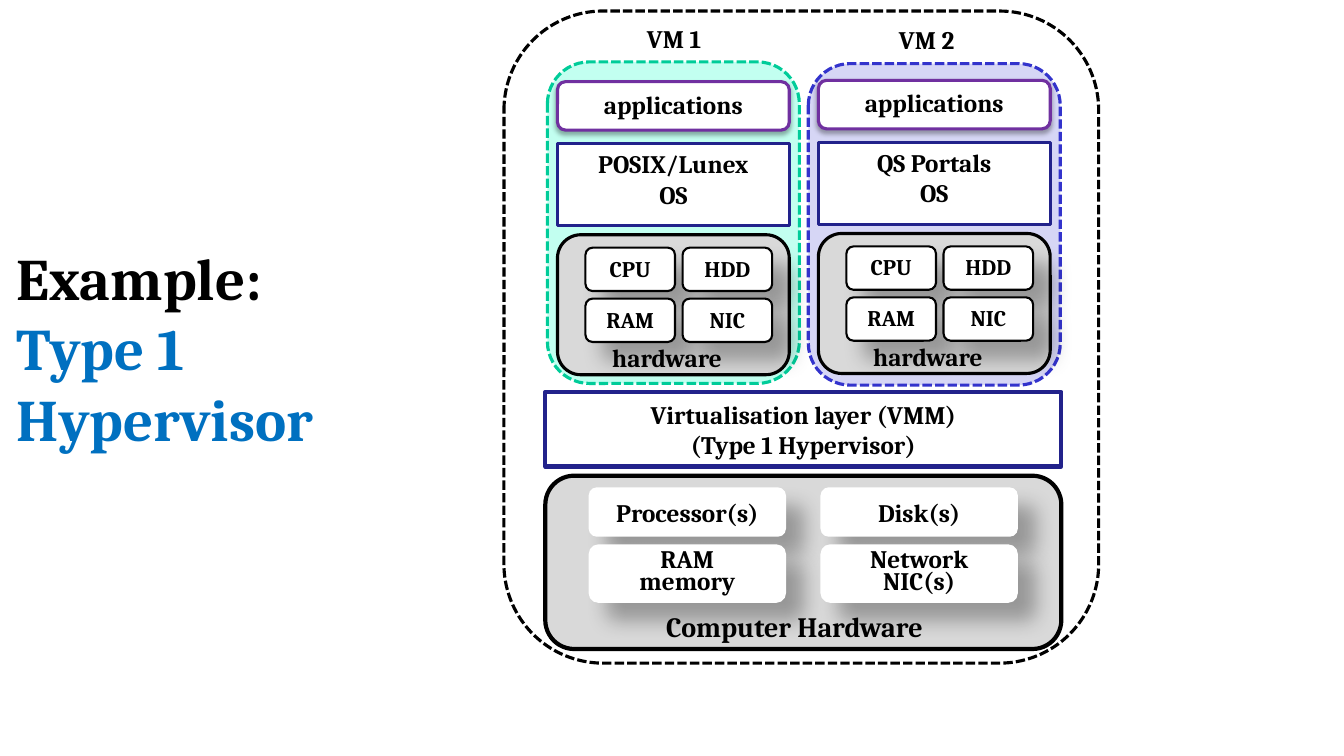
from itertools import product

from lxml import etree
from pptx import Presentation
from pptx.dml.color import RGBColor
from pptx.enum.dml import MSO_LINE
from pptx.enum.shapes import MSO_SHAPE
from pptx.enum.text import MSO_ANCHOR, PP_ALIGN
from pptx.oxml.ns import qn
from pptx.util import Pt

RECT = MSO_SHAPE.RECTANGLE
ROUND = MSO_SHAPE.ROUNDED_RECTANGLE
DASH = MSO_LINE.SQUARE_DOT
TOP, MIDDLE = MSO_ANCHOR.TOP, MSO_ANCHOR.MIDDLE
LEFT, CENTER = PP_ALIGN.LEFT, PP_ALIGN.CENTER

FONT = "Cambria"
BLACK, WHITE, GREY = "000000", "FFFFFF", "D9D9D9"
NAVY, PURPLE, BLUE = "22228B", "7030A0", "0070C0"
SOFT_SHADOW = (32, 3.5, 2.2, 90)
DEEP_SHADOW = (30, 15, 18, 45)


def colour(value):
    return RGBColor.from_string(value)


def add_span(para, text, size, ink=BLACK):
    span = para.add_run()
    span.text = text
    span.font.name = FONT
    span.font.size = Pt(size)
    span.font.bold = True
    span.font.color.rgb = colour(ink)


def write_lines(frame, lines, size, align, anchor, spacing=None):
    frame.word_wrap = True
    frame.vertical_anchor = anchor
    for index, line in enumerate(lines):
        para = frame.add_paragraph() if index else frame.paragraphs[0]
        para.alignment = align
        if spacing:
            para.line_spacing = Pt(spacing)
        add_span(para, line, size)


def add_shadow(shape, alpha, blur, distance, angle):
    effects = shape.element.spPr.find(qn("a:effectLst"))
    outer = etree.SubElement(
        effects, qn("a:outerShdw"), blurRad=str(Pt(blur)), dist=str(Pt(distance)),
        dir=str(angle * 60000), algn="tl", rotWithShape="0")
    tint = etree.SubElement(outer, qn("a:srgbClr"), val=BLACK)
    etree.SubElement(tint, qn("a:alpha"), val=str(alpha * 1000))


def add_block(page, box, kind=ROUND, fill=WHITE, line=None, weight=2.25, dash=None,
              shadow=None, lines=(), size=18, anchor=TOP, spacing=None):
    shape = page.shapes.add_shape(kind, *map(Pt, box))
    shape.shadow.inherit = False
    shape.fill.solid()
    shape.fill.fore_color.rgb = colour(fill)
    if line:
        shape.line.color.rgb = colour(line)
        shape.line.width = Pt(weight)
        if dash:
            shape.line.dash_style = dash
    else:
        shape.line.fill.background()
    if shadow:
        add_shadow(shape, *shadow)
    write_lines(shape.text_frame, lines, size, CENTER, anchor, spacing)


def add_label(page, box, text, size=18):
    label = page.shapes.add_textbox(*map(Pt, box))
    write_lines(label.text_frame, [text], size, LEFT, TOP)


def draw_title(page, box):
    frame = page.shapes.add_textbox(*map(Pt, box)).text_frame
    frame.word_wrap = True
    frame.vertical_anchor = MIDDLE
    para = frame.paragraphs[0]
    add_span(para, "Example:", 42)
    for line in ("Type 1", "Hypervisor"):
        para.add_line_break()
        add_span(para, line, 42, BLUE)


def draw_machine(page, box, name, name_left, system, fill, line, stack_top):
    left, top, width, height = box
    add_block(page, box, fill=fill, line=line, dash=DASH)
    add_label(page, (left + name_left, top - 31.3, 65, 29), name)

    stack_left, stack_width = left + 7.2, width - 14.4
    add_block(page, (stack_left, stack_top, stack_width, 34.6), line=PURPLE,
              shadow=SOFT_SHADOW, lines=["applications"])
    add_block(page, (stack_left, stack_top + 44.4, stack_width, 58.3), RECT,
              line=NAVY, lines=[system, "OS"])
    add_block(page, (stack_left, stack_top + 109.4, stack_width, 100),
              fill=GREY, line=BLACK)
    chips = ("CPU", "HDD", "RAM", "NIC")
    for chip, (row, column) in zip(chips, product(range(2), repeat=2)):
        chip_box = (stack_left + 20 + column * 69.4,
                    stack_top + 118.6 + row * 36.4, 64, 31)
        add_block(page, chip_box, line=BLACK, weight=1.5, shadow=DEEP_SHADOW,
                  lines=[chip], size=16)
    add_label(page, (stack_left + 32, stack_top + 182.6, 104.4, 30), "hardware")


def draw_hypervisor(page, box):
    add_block(page, box, RECT, line=NAVY, weight=3, anchor=MIDDLE,
              lines=["Virtualisation layer (VMM)", "(Type 1 Hypervisor)"])


def draw_hardware(page, box):
    left, top, width, height = box
    add_block(page, box, fill=GREY, line=BLACK, weight=3)
    rows = (
        (8.3, 35.3, None, (["Processor(s)"], ["Disk(s)"])),
        (49, 41.8, 16, (["RAM", "memory"], ["Network", "NIC(s)"])),
    )
    for offset, part_height, spacing, parts in rows:
        for column, lines in enumerate(parts):
            part_box = (left + 31 + column * 165.6, top + offset, 141, part_height)
            add_block(page, part_box, shadow=DEEP_SHADOW, lines=lines,
                      anchor=MIDDLE, spacing=spacing)
    add_label(page, (left + 79.2, top + 92.2, 234.7, 33), "Computer Hardware", 20)


def main():
    deck = Presentation()
    deck.slide_width, deck.slide_height = Pt(960), Pt(540)
    page = deck.slides.add_slide(deck.slide_layouts[6])
    draw_title(page, (5, 137.5, 303, 221))
    add_block(page, (360, 7.9, 424.8, 465.8), line=BLACK, dash=DASH)
    draw_machine(page, (577.4, 45.4, 180, 229.7), "VM 2", 57.6, "QS Portals",
                 "D6D6F5", "3333CC", 57.4)
    draw_machine(page, (391, 44.2, 180, 229.7), "VM 1", 64, "POSIX/Lunex",
                 "C2FFF0", "00CC99", 58.3)
    draw_hypervisor(page, (389.5, 280, 368.6, 53.3))
    draw_hardware(page, (389.5, 339.8, 368.6, 123.8))
    deck.save("out.pptx")


if __name__ == "__main__":
    main()
